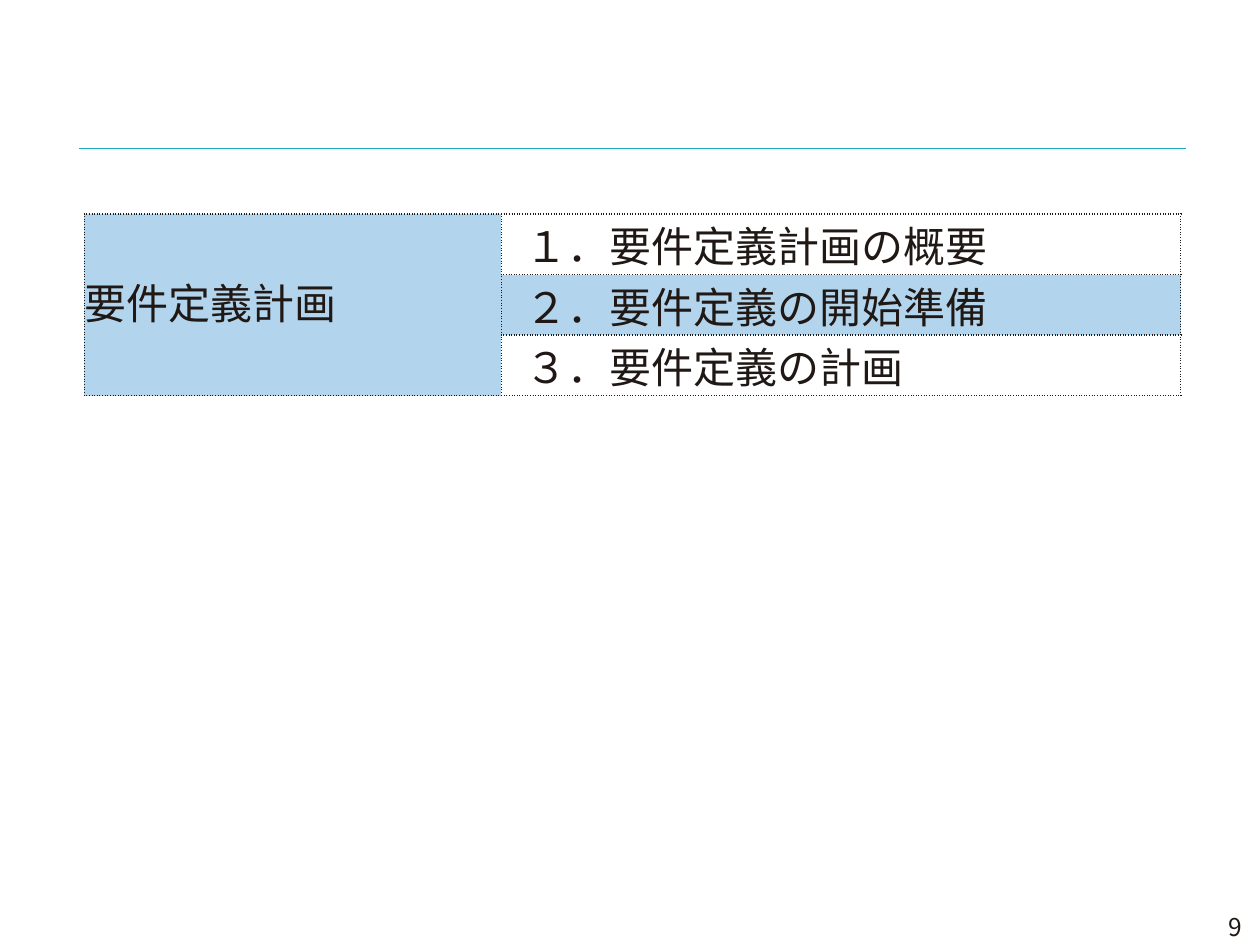
import pptx
import pptx.util
import pptx.dml.color
import pptx.enum.shapes
import pptx.enum.text
import pptx.oxml.ns
from lxml import etree

Inches, Pt = pptx.util.Inches, pptx.util.Pt
RGB = pptx.dml.color.RGBColor.from_string
qn = pptx.oxml.ns.qn
MIDDLE = pptx.enum.text.MSO_ANCHOR.MIDDLE

CHAPTER = "要件定義計画"
SECTIONS = ["１．要件定義計画の概要", "２．要件定義の開始準備", "３．要件定義の計画"]
CURRENT = 1
PAGE = "9"

THEME = {
    "font": "Noto Sans CJK JP",
    "ink": "201815",
    "highlight": "B2D5ED",
    "plain": "FFFFFF",
    "rule": "1BADBD",
    "table_size": 24,
    "page_size": 14,
}
COLUMNS = [3.31, 5.39]
ROW_HEIGHT = 0.48
NO_INSETS = {f"margin_{side}": 0 for side in ("left", "right", "top", "bottom")}


def set_attrs(obj, values):
    for name, value in values.items():
        setattr(obj, name, value)


def write(p, text, size):
    r = p.add_run()
    r.text = text
    set_attrs(r.font, {"size": Pt(size), "name": THEME["font"]})
    r.font.color.rgb = RGB(THEME["ink"])
    etree.SubElement(r.font._element, qn("a:ea"), typeface=THEME["font"])


def add_borders(cell):
    tc_pr = cell._tc.get_or_add_tcPr()
    for i, side in enumerate(("lnL", "lnR", "lnT", "lnB")):
        ln = etree.Element(qn(f"a:{side}"), w=str(Pt(1)))
        fill = etree.SubElement(ln, qn("a:solidFill"))
        etree.SubElement(fill, qn("a:srgbClr"), val=THEME["ink"])
        etree.SubElement(ln, qn("a:prstDash"), val="sysDot")
        tc_pr.insert(i, ln)


def fill_cell(cell, text, color, left, indent):
    set_attrs(cell, {"vertical_anchor": MIDDLE, **NO_INSETS})
    p = cell.text_frame.paragraphs[0]
    p_pr = p._p.get_or_add_pPr()
    p_pr.set("marL", str(Inches(left)))
    p_pr.set("indent", str(Inches(indent)))
    write(p, text, THEME["table_size"])
    cell.fill.solid()
    cell.fill.fore_color.rgb = RGB(color)
    return p


def add_rule(s):
    line = s.shapes.add_connector(
        pptx.enum.shapes.MSO_CONNECTOR.STRAIGHT,
        Inches(0.63), Inches(1.18), Inches(9.41), Inches(1.18))
    line.line.width = Pt(0.25)
    line.line.color.rgb = RGB(THEME["rule"])
    etree.SubElement(line._element.spPr, qn("a:effectLst"))


def add_page_number(s):
    tf = s.shapes.add_textbox(Inches(8.57), Inches(7.2), Inches(1.39), Inches(0.31)).text_frame
    set_attrs(tf, {"word_wrap": True, "vertical_anchor": MIDDLE})
    p = tf.paragraphs[0]
    p.alignment = pptx.enum.text.PP_ALIGN.RIGHT
    write(p, PAGE, THEME["page_size"])


def add_agenda(s):
    count = len(SECTIONS)
    table = s.shapes.add_table(
        count, len(COLUMNS), Inches(0.67), Inches(1.7),
        Inches(sum(COLUMNS)), Inches(ROW_HEIGHT * count)).table
    set_attrs(table, {"first_row": False, "horz_banding": False})
    for column, width in zip(table.columns, COLUMNS):
        column.width = Inches(width)
    table.cell(0, 0).merge(table.cell(count - 1, 0))
    p = fill_cell(table.cell(0, 0), CHAPTER, THEME["highlight"], 0.11, -0.11)
    p.line_spacing = 0.8
    for i, section in enumerate(SECTIONS):
        table.rows[i].height = Inches(ROW_HEIGHT)
        color = THEME["highlight" if i == CURRENT else "plain"]
        fill_cell(table.cell(i, 1), section, color, 0.19, 0)
    for cell in table.iter_cells():
        add_borders(cell)


def main():
    prs = pptx.Presentation()
    set_attrs(prs, {"slide_width": Inches(10), "slide_height": Inches(7.5)})
    s = prs.slides.add_slide(prs.slide_layouts[6])
    add_rule(s)
    add_page_number(s)
    add_agenda(s)
    prs.save("out.pptx")


if __name__ == "__main__":
    main()
